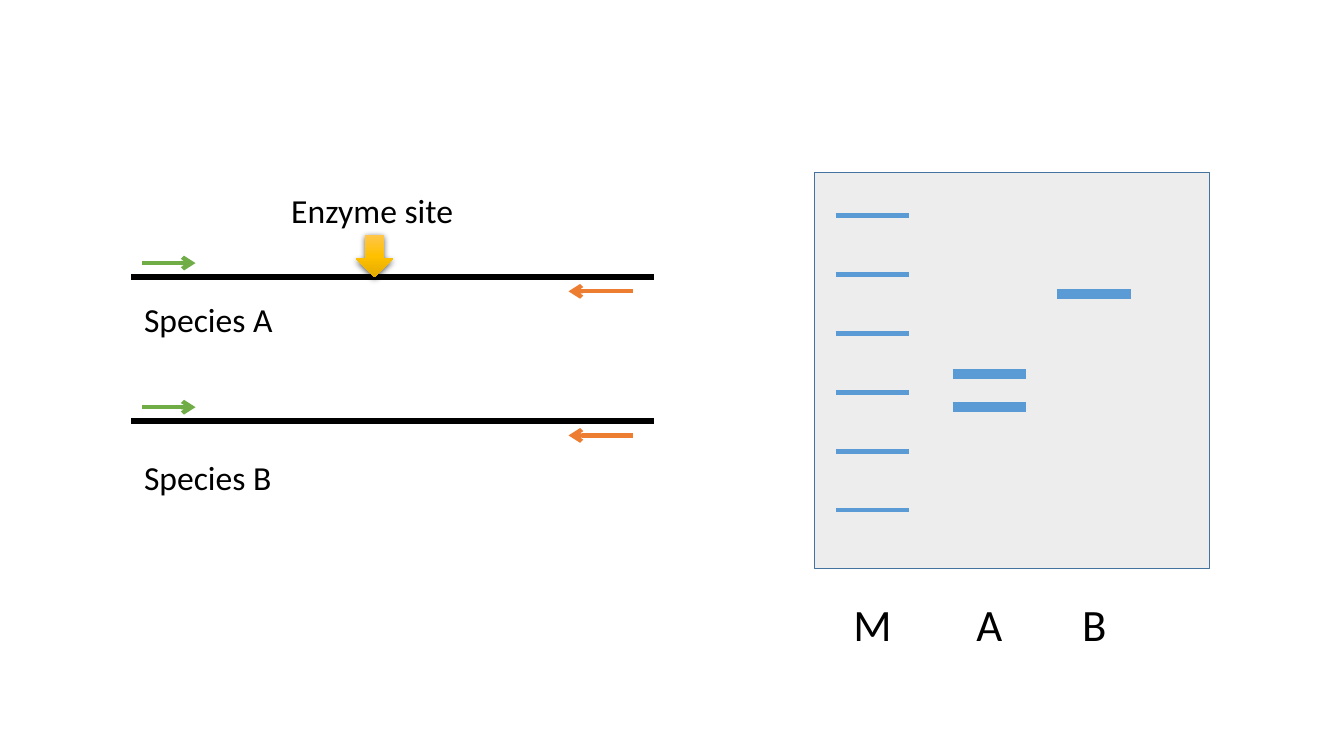
from copy import deepcopy

from lxml.etree import SubElement
from pptx import Presentation
from pptx.dml.color import RGBColor
from pptx.enum.shapes import MSO_CONNECTOR as Connector, MSO_SHAPE as Shape
from pptx.enum.text import MSO_AUTO_SIZE as AutoSize, PP_ALIGN as Align
from pptx.oxml.ns import qn
from pptx.util import Inches, Pt

WIDTH, HEIGHT = Inches(13.333), Inches(7.5)
FONT = "Calibri"
COLORS = {
    "black": "000000",
    "forward": "70AD47",
    "reverse": "ED7D31",
    "band": "5B9BD5",
    "gel": "EDEDED",
    "gel_border": "43739E",
    "site_top": "FFC64B",
    "site_middle": "FFC000",
    "site_bottom": "E3AB00",
}

# All positions are percentages of the slide's width (x) and height (y).
STRAND_LEFT, STRAND_RIGHT = 9.75, 48.68
PRIMER_GAP = 1.87
BAND_WIDTH = 5.48
LABEL_TOP, LABEL_HEIGHT = 78.27, 8.53
MARKER_TOP, MARKER_STEP, MARKER_COUNT = 28.53, 7.79, 6
SPECIES = [("Species A", 36.67, 38.93), ("Species B", 55.73, 59.73)]
LANES = [
    ("M", 62.18, 3.25, [MARKER_TOP + MARKER_STEP * i for i in range(MARKER_COUNT)]),
    ("A", 70.88, 7, [49.47, 53.87]),
    ("B", 78.68, 7, [38.93]),
]


def across(share):
    return round(WIDTH * share / 100)


def down(share):
    return round(HEIGHT * share / 100)


def box(left, top, width, height):
    return across(left), down(top), across(width), down(height)


def color(name):
    return RGBColor.from_string(COLORS[name])


def add_line(shapes, start, end, y, color_name, weight, arrow=False):
    line = shapes.add_connector(
        Connector.STRAIGHT, across(start), down(y), across(end), down(y))
    line.line.color.rgb = color(color_name)
    line.line.width = Pt(weight)
    if arrow:
        SubElement(line.line._get_or_add_ln(), qn("a:tailEnd"), type="arrow")
    SubElement(line._element.spPr, qn("a:effectLst"))


def add_text(slide, text, position, size, align=Align.LEFT, wrap=True):
    frame = slide.shapes.add_textbox(*box(*position)).text_frame
    frame.word_wrap = wrap
    frame.auto_size = AutoSize.SHAPE_TO_FIT_TEXT
    frame.text = text
    paragraph = frame.paragraphs[0]
    paragraph.alignment = align
    font = paragraph.runs[0].font
    font.name, font.size = FONT, Pt(size)
    font.color.rgb = color("black")


def add_strand(slide, y):
    """Group one DNA strand with its forward and reverse primers."""
    shapes = slide.shapes.add_group_shape().shapes
    add_line(shapes, STRAND_LEFT, STRAND_RIGHT, y, "black", 4.5)
    add_line(shapes, 10.57, 14.55, y - PRIMER_GAP, "forward", 3, arrow=True)
    add_line(shapes, 47.1, 42.3, y + PRIMER_GAP, "reverse", 3, arrow=True)


def add_shadow(shape):
    shape.shadow.inherit = False
    effects = shape._element.spPr.find(qn("a:effectLst"))
    shadow = SubElement(
        effects, qn("a:outerShdw"), blurRad=str(Pt(4.5)), dist=str(Pt(1.5)),
        dir="5400000", algn="ctr", rotWithShape="0")
    shade = SubElement(shadow, qn("a:srgbClr"), val=COLORS["black"])
    SubElement(shade, qn("a:alpha"), val="63000")


def add_enzyme_site(slide):
    arrow = slide.shapes.add_shape(Shape.DOWN_ARROW, *box(26.48, 31.07, 2.78, 5.6))
    arrow.line.fill.background()
    arrow.fill.gradient()
    arrow.fill.gradient_angle = 270
    stop_list = arrow._element.spPr.find(".//" + qn("a:gsLst"))
    stop_list.append(deepcopy(stop_list[0]))
    names = ("site_top", "site_middle", "site_bottom")
    for stop, name, place in zip(arrow.fill.gradient_stops, names, (0, 0.5, 1)):
        stop.color.rgb = color(name)
        stop.position = place
    add_shadow(arrow)
    add_text(slide, "Enzyme site", (20.93, 24.4, 15.08, 6.67), 24)


def add_gel(slide):
    gel = slide.shapes.add_shape(Shape.RECTANGLE, *box(60.6, 22.8, 29.4, 52.4))
    gel.shadow.inherit = False
    gel.fill.solid()
    gel.fill.fore_color.rgb = color("gel")
    gel.line.color.rgb = color("gel_border")
    gel.line.width = Pt(1)


def add_lane(slide, label, left, weight, bands):
    for y in bands:
        add_line(slide.shapes, left, left + BAND_WIDTH, y, "band", weight)
    add_text(slide, label, (left, LABEL_TOP, BAND_WIDTH, LABEL_HEIGHT), 32,
             Align.CENTER, wrap=False)


def main():
    presentation = Presentation()
    presentation.slide_width, presentation.slide_height = WIDTH, HEIGHT
    slide = presentation.slides.add_slide(presentation.slide_layouts[6])
    for name, strand_y, label_top in SPECIES:
        add_strand(slide, strand_y)
        add_text(slide, name, (9.98, label_top, 12.08, 6.67), 24)
    add_enzyme_site(slide)
    add_gel(slide)
    for lane in LANES:
        add_lane(slide, *lane)
    presentation.save("out.pptx")


if __name__ == "__main__":
    main()
